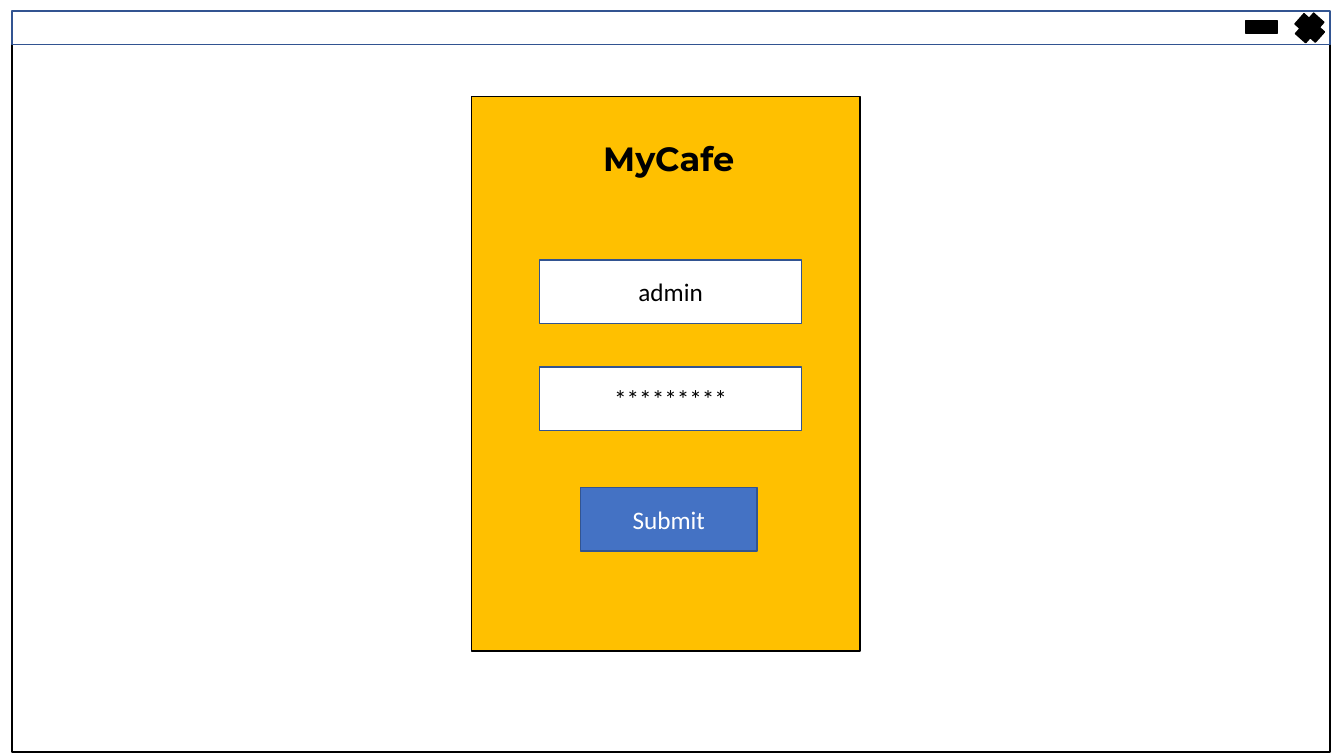
from pptx import Presentation
from pptx.dml.color import RGBColor
from pptx.enum.shapes import MSO_SHAPE as SHAPE
from pptx.enum.text import MSO_ANCHOR as ANCHOR, MSO_AUTO_SIZE as AUTO, PP_ALIGN as ALIGN
from pptx.util import Cm, Pt

BLACK = RGBColor(0x00, 0x00, 0x00)
WHITE = RGBColor(0xFF, 0xFF, 0xFF)
AMBER = RGBColor(0xFF, 0xC0, 0x00)
BLUE = RGBColor(0x44, 0x72, 0xC4)
NAVY = RGBColor(0x32, 0x54, 0x91)


class LoginScreen:
    """Draws the parts of a login window on one slide."""

    body_font, title_font = "Calibri", "Montserrat"
    body_size, title_size = Pt(18), Pt(24)

    def __init__(self, prs):
        self.s = prs.slides.add_slide(prs.slide_layouts[5])

    def label(self, sp, text, font, size, color, bold=False):
        tf = sp.text_frame
        tf.text = text
        tf.word_wrap = True
        tf.auto_size = AUTO.NONE
        tf.vertical_anchor = ANCHOR.MIDDLE
        p = tf.paragraphs[0]
        p.alignment = ALIGN.CENTER
        r = p.runs[0]
        r.font.name, r.font.size, r.font.bold = font, size, bold
        r.font.color.rgb = color

    def box(self, x, y, w, h, fill, line, kind=SHAPE.RECTANGLE):
        sp = self.s.shapes.add_shape(kind, Cm(x), Cm(y), Cm(w), Cm(h))
        sp.shadow.inherit = False
        sp.fill.solid()
        sp.fill.fore_color.rgb = fill
        sp.line.color.rgb = line
        sp.line.width = Pt(1)
        return sp

    def control(self, x, y, w, text, fill, color):
        sp = self.box(x, y, w, 1.6, fill, NAVY)
        self.label(sp, text, self.body_font, self.body_size, color)

    def title(self, x, y, w, h, text):
        sp = self.s.shapes.title
        sp.left, sp.top, sp.width, sp.height = Cm(x), Cm(y), Cm(w), Cm(h)
        self.label(sp, text, self.title_font, self.title_size, BLACK, bold=True)
        self.s.shapes.element.append(sp.element)


def main():
    prs = Presentation()
    prs.slide_width, prs.slide_height = Cm(33.87), Cm(19.05)
    screen = LoginScreen(prs)

    screen.box(0.3, 1.12, 33.22, 17.83, WHITE, BLACK)
    screen.box(11.89, 2.44, 9.78, 13.97, AMBER, BLACK)
    screen.title(14.43, 2.9, 4.85, 2.16, "MyCafe")
    for i, text in enumerate(("admin", "*********")):
        screen.control(13.6, 6.55 + 2.7 * i, 6.6, text, WHITE, BLACK)
    screen.control(14.63, 12.29, 4.45, "Submit", BLUE, WHITE)

    screen.box(0.3, 0.28, 33.22, 0.84, WHITE, NAVY)
    close = screen.box(32.66, 0.36, 0.69, 0.69, BLACK, BLACK, SHAPE.CROSS)
    close.rotation = 41.7
    screen.box(31.39, 0.53, 0.81, 0.3, BLACK, BLACK)

    prs.save("out.pptx")


if __name__ == "__main__":
    main()
